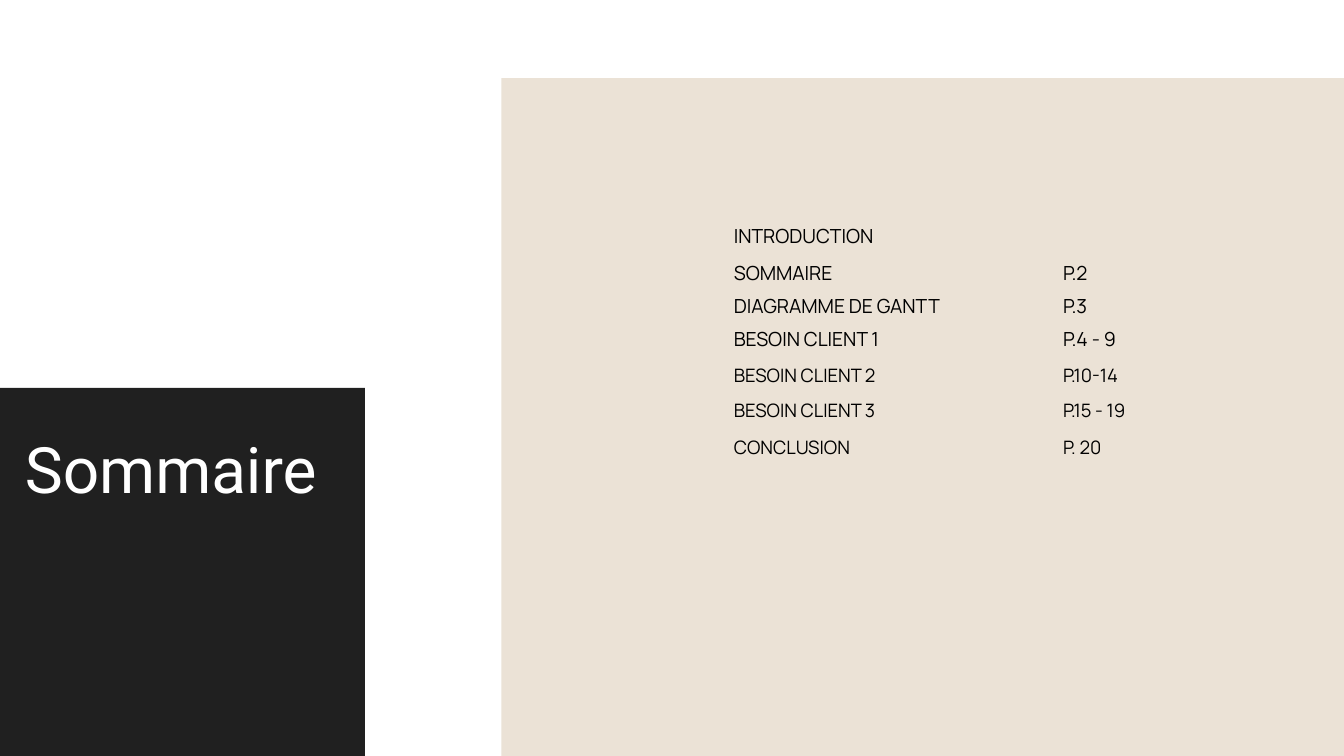
from pptx import Presentation
from pptx.dml.color import RGBColor
from pptx.enum.shapes import MSO_SHAPE
from pptx.enum.text import MSO_ANCHOR, MSO_AUTO_SIZE, PP_ALIGN
from pptx.util import Cm, Pt

RECTANGLE = MSO_SHAPE.RECTANGLE
TOP = MSO_ANCHOR.TOP
NO_AUTOFIT = MSO_AUTO_SIZE.NONE
LEFT, JUSTIFY = PP_ALIGN.LEFT, PP_ALIGN.JUSTIFY

BEIGE = RGBColor(0xEB, 0xE2, 0xD6)
DARK = RGBColor(0x20, 0x20, 0x20)
WHITE = RGBColor(0xFF, 0xFF, 0xFF)
BLACK = RGBColor(0x00, 0x00, 0x00)


def add_panel(left, top, color):
    """Add a plain panel that runs down to the bottom of the slide."""
    width = prs.slide_width - left if left else Cm(13.79)
    sp = s.shapes.add_shape(RECTANGLE, left, top, width, prs.slide_height - top)
    sp.shadow.inherit = False
    sp.fill.solid()
    sp.fill.fore_color.rgb = color
    sp.line.fill.background()


def write(sp, text, font, size, spacing, color, align=LEFT):
    """Write one line of text without margins."""
    tf = sp.text_frame
    tf.word_wrap = True
    tf.auto_size = NO_AUTOFIT
    tf.vertical_anchor = TOP
    tf.margin_left = tf.margin_right = tf.margin_top = tf.margin_bottom = 0
    p = tf.paragraphs[0]
    p.alignment = align
    p.line_spacing = Pt(spacing)
    p.space_before = Pt(0)
    r = p.add_run()
    r.text = text
    r.font.name = font
    r.font.size = Pt(size)
    r.font.color.rgb = color


prs = Presentation()
prs.slide_width, prs.slide_height = Cm(50.8), Cm(28.58)
s = prs.slides.add_slide(prs.slide_layouts[5])

# Background panels
add_panel(Cm(18.95), Cm(2.95), BEIGE)
add_panel(Cm(0), Cm(14.66), DARK)

# Title, brought in front of the dark panel
title = s.shapes.title
title.left, title.top = Cm(0.94), Cm(15.77)
title.width, title.height = Cm(11.91), Cm(3.28)
write(title, "Sommaire", "Roboto", 68.5, 95.9, WHITE, JUSTIFY)
title.element.getparent().append(title.element)

# Contents: top in cm, text size, section, pages
entries = [
    (8.33, 20.8, "INTRODUCTION", ""),
    (9.73, 20.8, "SOMMAIRE", "P.2"),
    (10.97, 20.8, "DIAGRAMME DE GANTT", "P.3"),
    (12.22, 20.8, "BESOIN CLIENT 1", "P.4 - 9"),
    (13.61, 19.8, "BESOIN CLIENT 2", "P.10-14"),
    (14.96, 19.8, "BESOIN CLIENT 3", "P.15 - 19"),
    (16.33, 19.8, "CONCLUSION", "P. 20"),
]
for top, size, section, pages in entries:
    for left, width, text in ((27.74, 9.68, section), (40.18, 2.92, pages)):
        if text:
            box = s.shapes.add_textbox(Cm(left), Cm(top), Cm(width), Cm(size / 20))
            write(box, text, "Manrope", size, round(size * 1.4, 1), BLACK)

prs.save("out.pptx")
